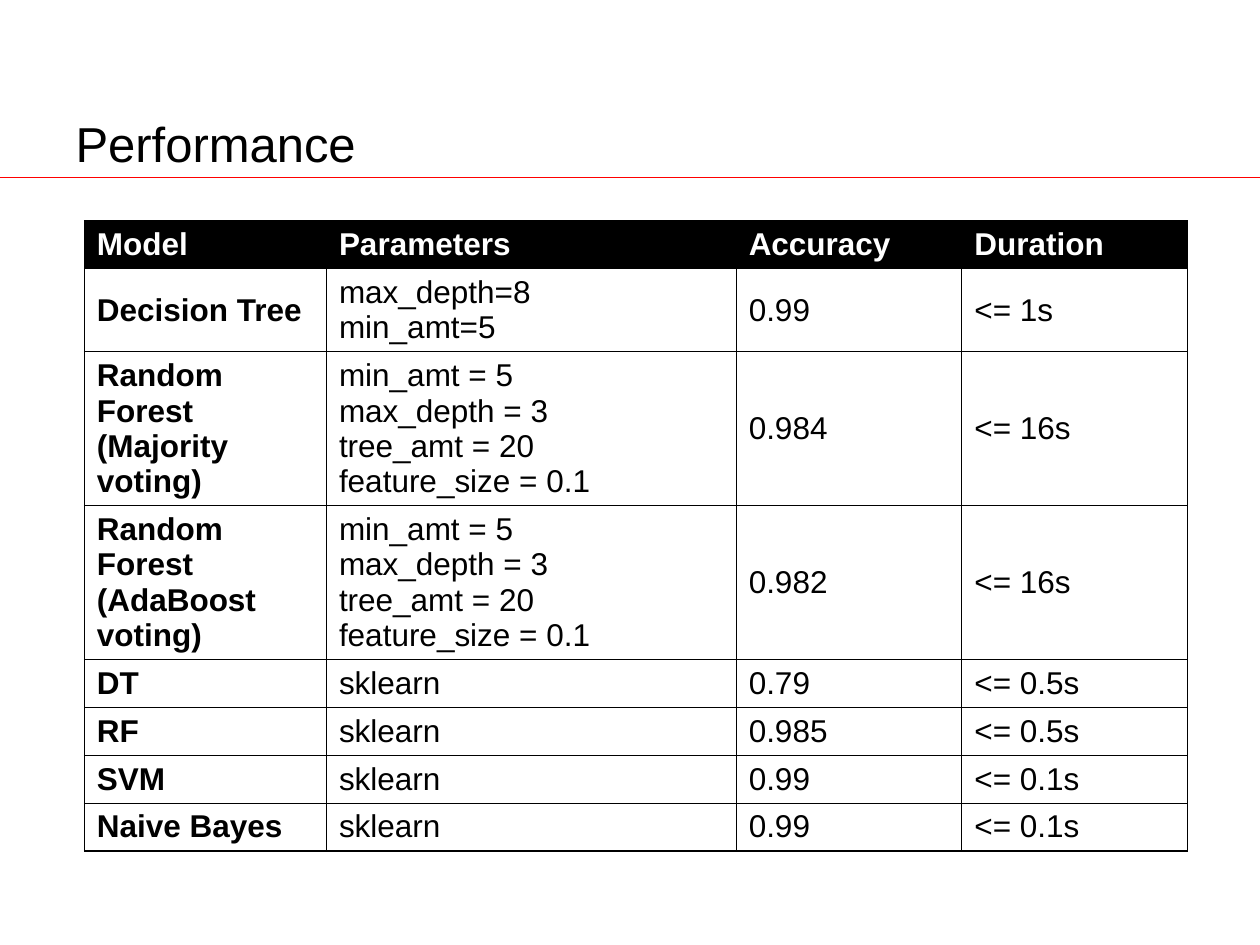
from pptx import Presentation
from pptx.dml.color import RGBColor
from pptx.enum.shapes import MSO_CONNECTOR
from pptx.enum.text import MSO_ANCHOR, PP_ALIGN
from pptx.oxml import parse_xml
from pptx.oxml.ns import nsdecls
from pptx.util import Cm, Pt

BLACK, WHITE, RED = "000000", "FFFFFF", "FF0000"
FOREST = "min_amt = 5\nmax_depth = 3\ntree_amt = 20\nfeature_size = 0.1"
ROWS = [
    ("Model", "Parameters", "Accuracy", "Duration"),
    ("Decision Tree", "max_depth=8\nmin_amt=5", "0.99", "<= 1s"),
    ("Random Forest (Majority voting)", FOREST, "0.984", "<= 16s"),
    ("Random Forest (AdaBoost voting)", FOREST, "0.982", "<= 16s"),
    ("DT", "sklearn", "0.79", "<= 0.5s"),
    ("RF", "sklearn", "0.985", "<= 0.5s"),
    ("SVM", "sklearn", "0.99", "<= 0.1s"),
    ("Naive Bayes", "sklearn", "0.99", "<= 0.1s"),
]
WIDTHS = (4.88, 8.26, 4.55, 4.55)
LINE, PAD = 0.71, 0.25


def paint(target, color):
    """Give a fill a solid colour."""
    target.solid()
    target.fore_color.rgb = RGBColor.from_string(color)


def style(frame, size, color, bold=False):
    """Format every run of a text frame."""
    for para in frame.paragraphs:
        para.alignment = PP_ALIGN.LEFT
        for run in para.runs:
            font = run.font
            font.name, font.size, font.bold = "Arial", Pt(size), bold
            font.color.rgb = RGBColor.from_string(color)


def add_title(slide, text):
    """Place the title just above the rule."""
    title = slide.shapes.title
    title.left, title.top = Cm(1.27), Cm(0.43)
    title.width, title.height = Cm(11.43), Cm(3.18)
    frame = title.text_frame
    frame.text = text
    frame.vertical_anchor = MSO_ANCHOR.BOTTOM
    style(frame, 28, BLACK)


def add_rule(slide, top, width):
    """Draw the thin rule across the slide."""
    rule = slide.shapes.add_connector(
        MSO_CONNECTOR.STRAIGHT, 0, top, width, top)
    rule.line.color.rgb = RGBColor.from_string(RED)
    rule.line.width = Pt(0.75)
    props = rule._element.spPr
    props.append(parse_xml(f"<a:effectLst {nsdecls('a')}/>"))


def add_edges(cell, color):
    """Outline all four sides of a cell."""
    props = cell._tc.get_or_add_tcPr()
    for spot, side in enumerate("LRTB"):
        props.insert(spot, parse_xml(
            f'<a:ln{side} {nsdecls("a")} w="{Pt(0.75)}"><a:solidFill>'
            f'<a:srgbClr val="{color}"/></a:solidFill></a:ln{side}>'))


def fill_cell(cell, text, head, bold):
    """Write and format one table cell."""
    cell.text = text
    cell.vertical_anchor = MSO_ANCHOR.TOP if head else MSO_ANCHOR.MIDDLE
    style(cell.text_frame, 18, WHITE if head else BLACK, bold)
    paint(cell.fill, BLACK if head else WHITE)
    add_edges(cell, BLACK)


def add_grid(slide):
    """Build the table of results."""
    highs = [LINE * (row[1].count("\n") + 1) + PAD for row in ROWS]
    grid = slide.shapes.add_table(
        len(ROWS), len(WIDTHS), Cm(1.7), Cm(4.45),
        Cm(sum(WIDTHS)), Cm(sum(highs))).table
    for col, width in zip(grid.columns, WIDTHS):
        col.width = Cm(width)
    for r, row in enumerate(ROWS):
        grid.rows[r].height = Cm(highs[r])
        for c, text in enumerate(row):
            fill_cell(grid.cell(r, c), text, r == 0, r == 0 or c == 0)


def main():
    """Build and save the slide."""
    deck = Presentation()
    deck.slide_width, deck.slide_height = Cm(25.4), Cm(19.05)
    slide = deck.slides.add_slide(deck.slide_layouts[5])
    paint(slide.background.fill, WHITE)
    add_rule(slide, Cm(3.58), deck.slide_width)
    add_title(slide, "Performance")
    add_grid(slide)
    deck.save("out.pptx")


if __name__ == "__main__":
    main()
